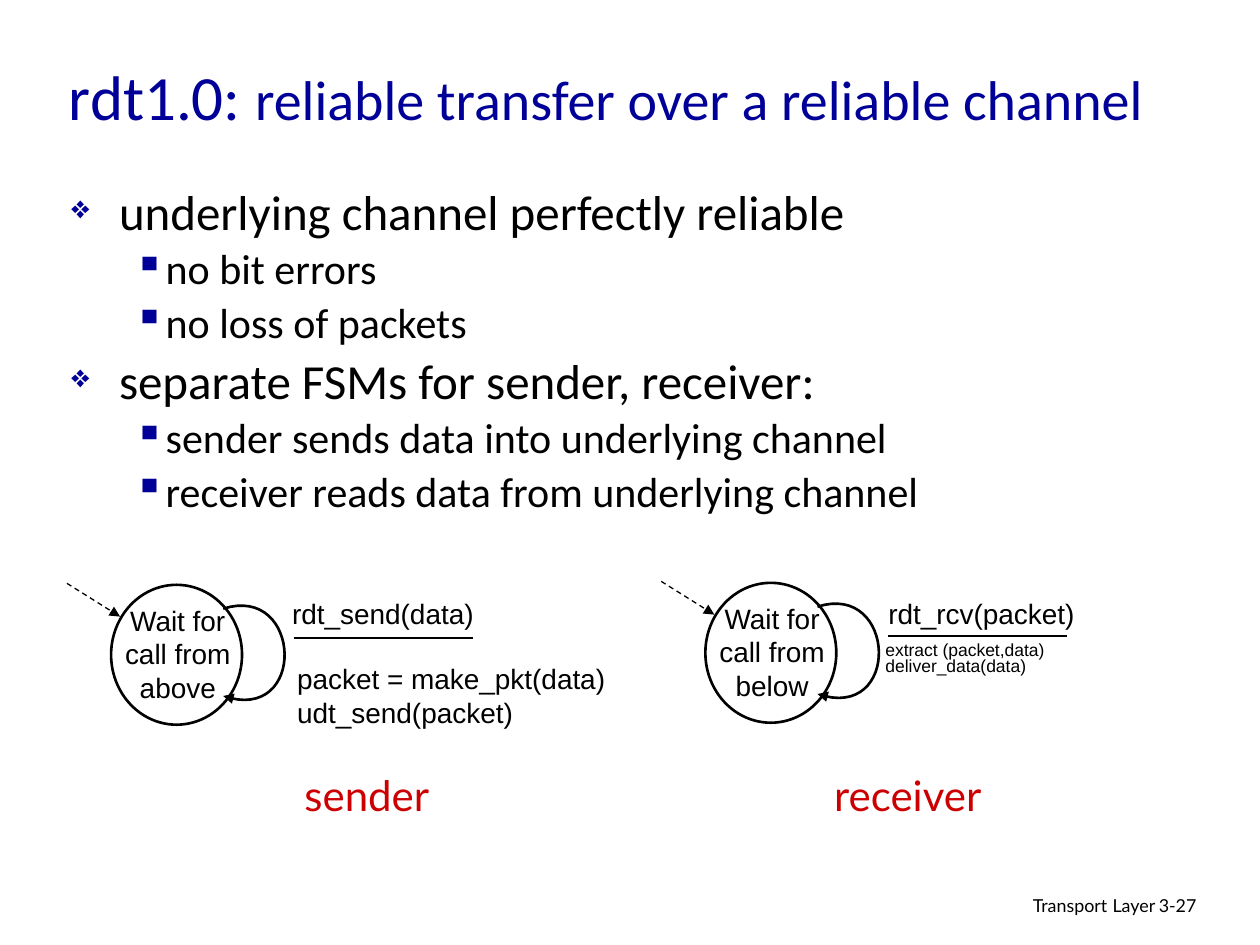
from lxml.etree import SubElement
from pptx import Presentation
from pptx.dml.color import RGBColor
from pptx.enum.dml import MSO_LINE_DASH_STYLE as DASH
from pptx.enum.shapes import MSO_CONNECTOR as CONN, MSO_SHAPE as SHAPE
from pptx.enum.text import MSO_ANCHOR as ANCHOR, PP_ALIGN as ALIGN
from pptx.oxml.ns import qn
from pptx.util import Cm, Pt

BLACK, NAVY, RED = "000000", "000099", "CC0000"
BULLETS = [
    (0, "underlying channel perfectly reliable"),
    (1, "no bit errors"),
    (1, "no loss of packets"),
    (0, "separate FSMs for sender, receiver:"),
    (1, "sender sends data into underlying channel"),
    (1, "receiver reads data from underlying channel"),
]
LEVELS = [
    dict(char="❖", size=28, margin=0.96, hang=0.96, before=7, scale=65),
    dict(char="▪", size=24, margin=1.9, hang=0.64, before=6, scale=100),
]


def rgb(color):
    """Turn a hex string into a colour."""
    return RGBColor.from_string(color)


def add_run(p, text, size, font="Arial", color=BLACK):
    """Add one formatted run to a paragraph."""
    r = p.add_run()
    r.text = text
    r.font.size, r.font.name = Pt(size), font
    r.font.color.rgb = rgb(color)


def add_frame(s, x, y, w, h, wrap=True, anchor=ANCHOR.TOP):
    """Add an empty text box and return its text frame."""
    tf = s.shapes.add_textbox(Cm(x), Cm(y), Cm(w), Cm(h)).text_frame
    tf.word_wrap, tf.vertical_anchor = wrap, anchor
    return tf


def add_text(s, box, lines, align=ALIGN.LEFT, spacing=1.0, wrap=True,
             anchor=ANCHOR.TOP):
    """Add a text box whose lines are lists of run arguments."""
    tf = add_frame(s, *box, wrap=wrap, anchor=anchor)
    for i, runs in enumerate(lines):
        p = tf.add_paragraph() if i else tf.paragraphs[0]
        p.alignment, p.line_spacing = align, spacing
        for run in runs:
            add_run(p, *run)


def add_bullets(s, box, items):
    """Add the two-level bullet list."""
    tf = add_frame(s, *box)
    for i, (level, text) in enumerate(items):
        style = LEVELS[level]
        p = tf.add_paragraph() if i else tf.paragraphs[0]
        p.level, p.line_spacing = level, 0.85
        p.space_before = Pt(style["before"] if i else 0)
        pPr = p._p.get_or_add_pPr()
        pPr.set("marL", str(Cm(style["margin"])))
        pPr.set("indent", str(-Cm(style["hang"])))
        SubElement(SubElement(pPr, qn("a:buClr")), qn("a:srgbClr"), val=NAVY)
        SubElement(pPr, qn("a:buSzPct"), val=str(style["scale"] * 1000))
        SubElement(pPr, qn("a:buChar"), char=style["char"])
        add_run(p, text, style["size"], "Calibri")


def style_line(sp, width=1.5, arrow=False):
    """Give a shape or connector a black line, with an arrowhead if asked."""
    sp.line.color.rgb, sp.line.width = rgb(BLACK), Pt(width)
    if arrow:
        SubElement(sp.line._get_or_add_ln(), qn("a:tailEnd"), type="triangle")


def add_line(s, x1, y1, x2, y2, width=1.5, dashed_arrow=False):
    """Add a straight line, plain or as a dashed arrow."""
    sp = s.shapes.add_connector(CONN.STRAIGHT, Cm(x1), Cm(y1), Cm(x2), Cm(y2))
    if dashed_arrow:
        sp.line.dash_style = DASH.DASH
    style_line(sp, width, dashed_arrow)
    SubElement(sp._element.spPr, qn("a:effectLst"))


def add_circle(s, x, y, w, h):
    """Add the white circle of a state."""
    sp = s.shapes.add_shape(SHAPE.OVAL, Cm(x), Cm(y), Cm(w), Cm(h))
    sp.shadow.inherit = False
    sp.fill.solid()
    sp.fill.fore_color.rgb = rgb("FFFFFF")
    style_line(sp)


def add_curve(s, controls, steps=32):
    """Add a cubic Bezier curve that ends in an arrowhead."""
    points = []
    for i in range(steps + 1):
        t = i / steps
        weights = ((1 - t) ** 3, 3 * t * (1 - t) ** 2, 3 * t * t * (1 - t), t ** 3)
        points.append([Cm(sum(w * c for w, c in zip(weights, axis)))
                       for axis in zip(*controls)])
    builder = s.shapes.build_freeform(*points[0])
    builder.add_line_segments(points[1:], close=False)
    sp = builder.convert_to_shape()
    sp.shadow.inherit = False
    sp.fill.background()
    style_line(sp, arrow=True)


def add_machine(s, x, y, state):
    """Add a one-state machine with its start arrow, loop and event rule."""
    add_circle(s, x, y, 2.64, 2.82)
    add_text(s, (x - 0.18, y + 0.25, 3.05, 2.54), [[(state, 16)]], ALIGN.CENTER)
    loop = [(2.26, 0.48), (3.86, -0.03), (3.96, 2.82), (2.26, 2.24)]
    add_curve(s, [(x + dx, y + dy) for dx, dy in loop])
    add_line(s, x + 3.68, y + 1.07, x + 7.29, y + 1.07)
    add_line(s, x - 0.89, y - 0.03, x + 0.18, y + 0.64, 0.75, dashed_arrow=True)


def main():
    """Build the slide and save it."""
    prs = Presentation()
    prs.slide_width, prs.slide_height = Cm(25.4), Cm(19.05)
    s = prs.slides.add_slide(prs.slide_layouts[6])

    title = [("rdt1.0: ", 36, "Calibri", NAVY),
             ("reliable transfer over a reliable channel", 32, "Calibri", NAVY)]
    add_text(s, (1.14, 0.53, 22.22, 2.79), [title], anchor=ANCHOR.MIDDLE)
    add_bullets(s, (1.19, 3.71, 21.95, 8.38), BULLETS)

    add_machine(s, 2.24, 11.79, "Wait for call from above")
    add_text(s, (5.64, 11.91, 6.27, 1.19), [[("rdt_send(data)", 16)]])
    add_text(s, (5.74, 13.21, 7.44, 1.65),
             [[("packet = make_pkt(data)", 16)], [("udt_send(packet)", 16)]])

    add_machine(s, 14.22, 11.75, "Wait for call from below")
    add_text(s, (17.65, 11.91, 4.27, 0.94), [[("rdt_rcv(packet)", 16)]],
             ALIGN.CENTER, wrap=False)
    add_text(s, (17.6, 12.83, 6.91, 1.19),
             [[("extract (packet,data)", 10)], [("deliver_data(data)", 10)]],
             spacing=0.8)

    for name, x, w in (("sender", 5.77, 3.25), ("receiver", 16.46, 3.68)):
        add_text(s, (x, 15.39, w, 1.27), [[(name, 24, "Lato", RED)]],
                 ALIGN.CENTER, wrap=False)

    footer = [("Transport", 10.2, "Lato"), (" ", 11.9, "Lato"), ("Layer", 10.2, "Lato")]
    add_text(s, (15.49, 17.91, 8.05, 0.79), [footer], ALIGN.RIGHT, 0.9)
    add_text(s, (23.11, 17.96, 1.88, 0.76), [[("3-27", 10.2, "Lato")]], spacing=0.9)

    prs.save("out.pptx")


if __name__ == "__main__":
    main()
